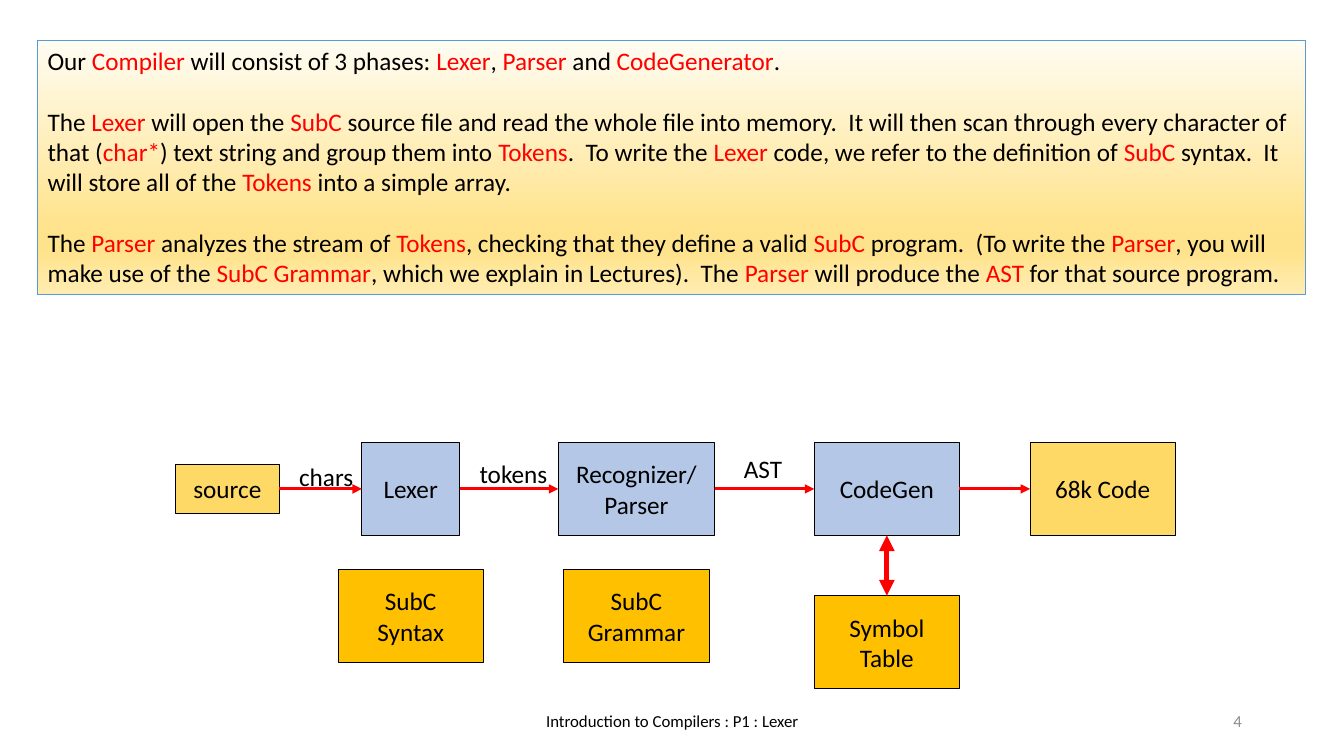
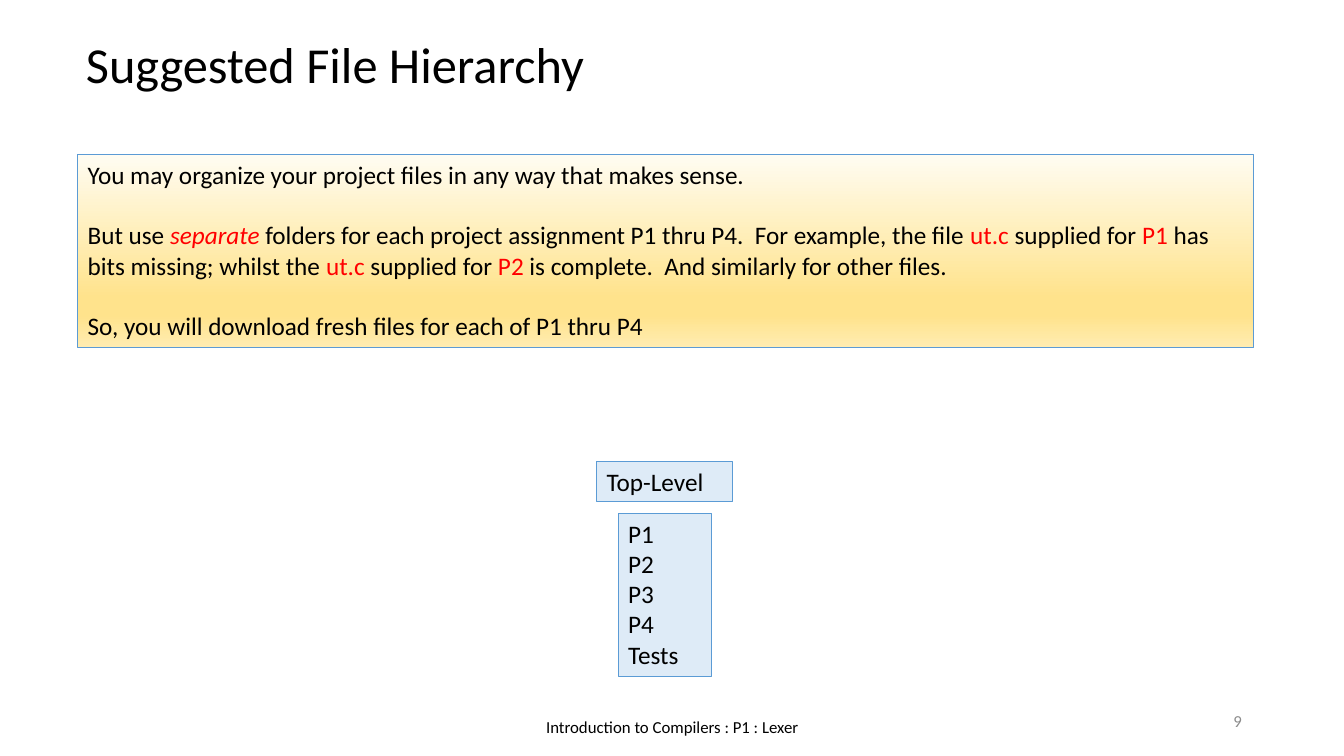
from lxml.etree import SubElement
from pptx import Presentation
from pptx.dml.color import RGBColor
from pptx.enum.shapes import MSO_CONNECTOR, MSO_SHAPE
from pptx.enum.text import MSO_ANCHOR, PP_ALIGN
from pptx.oxml.ns import qn
from pptx.util import Cm, Pt

FONT = "Calibri"
BLACK = RGBColor(0x00, 0x00, 0x00)
RED = RGBColor(0xFF, 0x00, 0x00)
GRAY = RGBColor(0x8C, 0x8C, 0x8C)
BLUE = RGBColor(0x5B, 0x9B, 0xD5)
PALE = RGBColor(0xDE, 0xEB, 0xF7)
STEEL = RGBColor(0xB4, 0xC7, 0xE7)
SAND = RGBColor(0xFF, 0xD9, 0x66)
GOLD = RGBColor(0xFF, 0xC0, 0x00)
CREAM = RGBColor(0xFF, 0xFC, 0xF2)
HONEY = RGBColor(0xFF, 0xE3, 0x8C)
STRAW = RGBColor(0xFF, 0xEC, 0xB2)
STOPS = ((0, CREAM), (74, HONEY), (83, HONEY), (100, STRAW))

PHASES = [
    "Our |Compiler |will consist of 3 phases: |Lexer|, |Parser |and |CodeGenerator|.",
    "The |Lexer| will open the |SubC |source file and read the whole file into memory.  "
    "It will then scan through every character of that (|char*|) text string and group "
    "them into |Tokens|.  To write the |Lexer| code, we refer to the definition of "
    "|SubC |syntax.  It will store all of the |Tokens| into a simple array.",
    "The |Parser| analyzes the stream of |Tokens|, checking that they define a valid "
    "|SubC |program.  (To write the |Parser|, you will make use of the |SubC Grammar|, "
    "which we explain in Lectures).  The |Parser| will produce the |AST| for that "
    "source program.",
]
ADVICE = [
    "You may organize your project files in any way that makes sense.",
    "But use |~separate| folders for each project assignment P1 thru P4.  For example, "
    "the file |ut.c| supplied for |P1| has bits missing; whilst the |ut.c| supplied for "
    "|P2| is complete.  And similarly for other files.",
    "So, you will download fresh files for each of P1 thru P4",
]


def write(shape, lines, size=18, color=BLACK, align=PP_ALIGN.LEFT,
          anchor=MSO_ANCHOR.TOP, gap=0):
    frame = shape.text_frame
    frame.word_wrap = True
    frame.vertical_anchor = anchor
    for i, line in enumerate(lines):
        para = frame.add_paragraph() if i else frame.paragraphs[0]
        para.alignment = align
        if i and gap:
            para.space_before = Pt(gap)
        para.font.name = FONT
        para.font.size = Pt(size)
        para.font.color.rgb = color
        for j, part in enumerate(line.split("|")):
            run = para.add_run()
            run.text = part.lstrip("~")
            if j % 2:
                run.font.color.rgb = RED
            if part.startswith("~"):
                run.font.italic = True


def center(shape, lines):
    frame = shape.text_frame
    frame.margin_left = frame.margin_right = Cm(0.33)
    frame.margin_top = frame.margin_bottom = Cm(0.18)
    write(shape, lines, align=PP_ALIGN.CENTER, anchor=MSO_ANCHOR.MIDDLE)


def place(box):
    return [Cm(n) for n in box]


def add_rect(slide, box, fill, edge):
    rect = slide.shapes.add_shape(MSO_SHAPE.RECTANGLE, *place(box))
    rect.shadow.inherit = False
    rect.line.color.rgb = edge
    rect.line.width = Pt(0.75)
    if fill:
        rect.fill.solid()
        rect.fill.fore_color.rgb = fill
    return rect


def add_panel(slide, box, lines):
    panel = add_rect(slide, box, None, BLUE)
    panel.fill.gradient()
    panel.fill.gradient_angle = 270
    stops = panel.element.spPr.find(".//" + qn("a:gsLst"))
    for old in list(stops):
        stops.remove(old)
    for pos, color in STOPS:
        stop = SubElement(stops, qn("a:gs"), pos=str(pos * 1000))
        SubElement(stop, qn("a:srgbClr"), val=str(color))
    write(panel, lines, gap=21.6)


def add_block(slide, box, fill, lines):
    block = add_rect(slide, box, fill, BLACK)
    center(block, lines)
    return block


def join(slide, start, end, sides, width=2.25, ends=("a:tailEnd",)):
    link = slide.shapes.add_connector(MSO_CONNECTOR.STRAIGHT, 0, 0, 0, 0)
    link.begin_connect(start, sides[0])
    link.end_connect(end, sides[1])
    link.line.color.rgb = RED
    link.line.width = Pt(width)
    props = link.element.spPr
    for tag in ends:
        SubElement(props.find(qn("a:ln")), qn(tag), type="triangle")
    SubElement(props, qn("a:effectLst"))


def add_flow(slide, box):
    left, top = box[:2]
    tall, wide = 2.34, 3.66
    stages = [
        (0, 2.62, 1.24, SAND, "source"),
        (4.7, 2.46, tall, STEEL, "Lexer"),
        (9.65, 3.94, tall, STEEL, "Recognizer/Parser"),
        (16.1, wide, tall, STEEL, "CodeGen"),
        (21.54, wide, tall, SAND, "68k Code"),
    ]
    blocks = [
        add_block(slide, (left + x, top + (tall - h) / 2, w, h), fill, [name])
        for x, w, h, fill, name in stages
    ]
    for start, end in zip(blocks, blocks[1:]):
        join(slide, start, end, (3, 1))

    notes = [
        (1, 3.2, ["SubC", "Syntax"]),
        (2, 3.2, ["SubC", "Grammar"]),
        (3, 3.86, ["Symbol Table"]),
    ]
    for i, y, lines in notes:
        x, w = stages[i][:2]
        spot = (left + x + (w - wide) / 2, top + y, wide, tall)
        note = add_block(slide, spot, GOLD, lines)
    join(slide, blocks[3], note, (2, 0), 3.75, ("a:headEnd", "a:tailEnd"))

    labels = [
        (2.67, 0.23, 2.26, 1.24, "chars"),
        (7.21, 0.15, 2.62, 1.24, "tokens"),
        (13.77, 0.15, 2.08, 1.02, "AST"),
    ]
    for x, y, w, h, name in labels:
        label = slide.shapes.add_textbox(*place((left + x, top + y, w, h)))
        center(label, [name])


def add_tree(slide, box):
    left, top, width, height = box
    root = add_rect(slide, (left, top, width, 1.02), PALE, BLUE)
    write(root, ["Top-Level"])
    inset, drop = 0.54, 1.3
    spot = (left + inset, top + drop, width - 2 * inset, height - drop)
    write(add_rect(slide, spot, PALE, BLUE), ["P1", "P2", "P3", "P4", "Tests"])


def add_foot(slide, page, top):
    foot = [
        ((11.23, top, 11.43, 1.02), "Introduction to Compilers : P1 : Lexer",
         BLACK, PP_ALIGN.CENTER),
        ((23.93, 17.65, 7.62, 1.02), page, GRAY, PP_ALIGN.RIGHT),
    ]
    for box, text, color, align in foot:
        area = slide.shapes.add_textbox(*place(box))
        write(area, [text], 12, color, align, MSO_ANCHOR.MIDDLE)


def set_title(slide, box, text):
    title = slide.shapes.title
    title.left, title.top, title.width, title.height = place(box)
    write(title, [text], 36)


def make_phases(deck):
    slide = deck.slides.add_slide(deck.slide_layouts[6])
    add_foot(slide, "4", 17.65)
    add_panel(slide, (0.95, 1.02, 31.95, 6.4), PHASES)
    add_flow(slide, (4.42, 11.15, 25.2, 6.2))


def make_files(deck):
    slide = deck.slides.add_slide(deck.slide_layouts[5])
    set_title(slide, (1.91, 0.71, 15.37, 1.8), "Suggested File Hierarchy")
    add_foot(slide, "9", 17.81)
    add_panel(slide, (1.96, 3.89, 29.64, 4.88), ADVICE)
    add_tree(slide, (15.04, 11.63, 3.43, 5.41))


def main():
    deck = Presentation()
    deck.slide_width = Cm(33.87)
    deck.slide_height = Cm(19.05)
    make_phases(deck)
    make_files(deck)
    deck.save("out.pptx")


if __name__ == "__main__":
    main()
